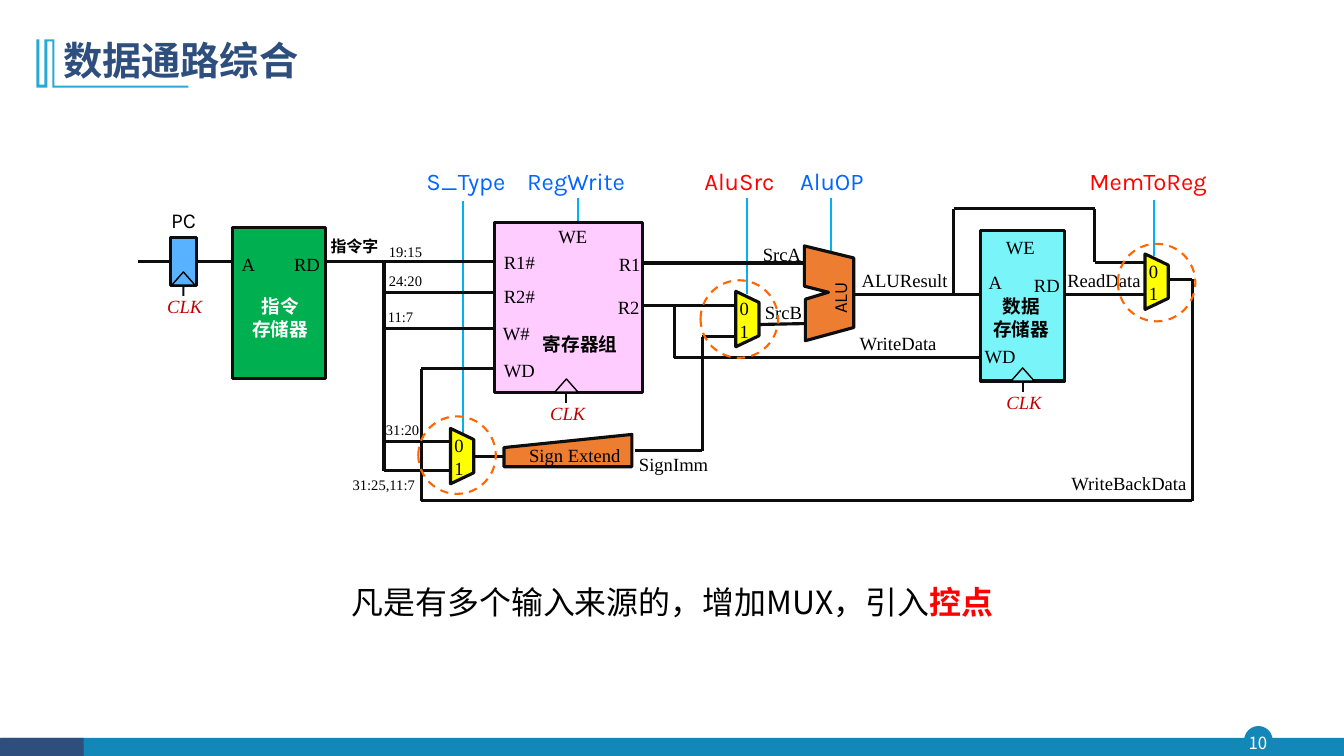
from lxml import etree
from pptx import Presentation
from pptx import util as u
from pptx.dml.color import RGBColor
from pptx.enum import dml, shapes, text
from pptx.oxml import ns

Pt = u.Pt
Kind = shapes.MSO_SHAPE
INK = RGBColor(0x0D, 0x0D, 0x0D)
BLACK = RGBColor(0, 0, 0)
WHITE = RGBColor(255, 255, 255)
NAVY = RGBColor(0x2E, 0x4E, 0x7E)
TEAL = RGBColor(0x13, 0x87, 0xB7)
CYAN = RGBColor(0x28, 0xA9, 0xD6)
SKY = RGBColor(0x00, 0xB0, 0xF0)
BLUE = RGBColor(0x00, 0x66, 0xFF)
RED = RGBColor(255, 0, 0)
WINE = RGBColor(0xC0, 0, 0)
FLAME = RGBColor(0xFF, 0x66, 0)
ORANGE = RGBColor(0xED, 0x7D, 0x31)
YELLOW = RGBColor(255, 255, 0)
GREEN = RGBColor(0, 0xB0, 0x50)
PINK = RGBColor(0xFF, 0xCC, 0xFF)
AQUA = RGBColor(0x79, 0xF5, 0xF9)
AZURE = RGBColor(0x59, 0xB2, 0xFF)

SERIF, SANS, HAN = "Times New Roman", "Karla", "Noto Sans CJK SC"
HEAVY, LIGHT = 2.25, 1.5
MID = text.PP_ALIGN.CENTER


class Board:
    """Draws on one slide; all lengths are points."""

    def __init__(self, slide):
        self.items = slide.shapes

    def paint(self, shape, fill, line, width):
        shape.shadow.inherit = False
        if fill is None:
            shape.fill.background()
        else:
            shape.fill.solid()
            shape.fill.fore_color.rgb = fill
        if line is None:
            shape.line.fill.background()
        else:
            shape.line.color.rgb = line
            shape.line.width = Pt(width)
        return shape

    def shape(self, kind, x, y, w, h, fill=None, line=None, width=HEAVY):
        item = self.items.add_shape(kind, Pt(x), Pt(y), Pt(w), Pt(h))
        return self.paint(item, fill, line, width)

    def free(self, points, fill, line=None):
        (x, y), *rest = [(Pt(a), Pt(b)) for a, b in points]
        pen = self.items.build_freeform(x, y)
        pen.add_line_segments(rest, close=True)
        return self.paint(pen.convert_to_shape(), fill, line, HEAVY)

    def wire(self, *points, color=INK, width=HEAVY):
        """Straight lines through the points; returns the last one."""
        for (a, b), (c, d) in zip(points, points[1:]):
            line = self.items.add_connector(
                shapes.MSO_CONNECTOR.STRAIGHT, Pt(a), Pt(b), Pt(c), Pt(d))
            line.line.color.rgb = color
            line.line.width = Pt(width)
            etree.SubElement(line._element.spPr, ns.qn("a:effectLst"))
        return line

    def label(self, words, x, y, w, h=None, size=13.3, font=SERIF, color=BLACK,
              bold=False, slant=False, align=None, wrap=False, turn=0,
              middle=False, inset=None, space=None):
        """Each line of words is a paragraph; a line may be a list of (text, format)."""
        lines = words.split("\n") if isinstance(words, str) else words
        h = h or len(lines) * size * 1.2 + 7.2
        box = self.items.add_textbox(Pt(x), Pt(y), Pt(w), Pt(h))
        box.rotation = turn
        frame = box.text_frame
        frame.word_wrap = wrap
        if middle:
            frame.vertical_anchor = text.MSO_ANCHOR.MIDDLE
        if inset is not None:
            frame.margin_left = frame.margin_right = Pt(inset)
            frame.margin_top = frame.margin_bottom = Pt(inset)
        for i, line in enumerate(lines):
            para = frame.add_paragraph() if i else frame.paragraphs[0]
            para.alignment = align
            para.line_spacing = space
            for part, style in [(line, {})] if isinstance(line, str) else line:
                run = para.add_run()
                run.text = part
                run.font.name = font
                run.font.size = Pt(size)
                run.font.bold = style.get("bold", bold)
                run.font.italic = slant
                run.font.color.rgb = style.get("color", color)
                east = etree.SubElement(run._r.get_or_add_rPr(), ns.qn("a:ea"))
                east.set("typeface", font)

    def clock(self, block, x, base, fill, join=True):
        self.shape(Kind.ISOSCELES_TRIANGLE, x - 8.3, base - 9.4, 16.6, 9.4, fill, BLACK, 1)
        tick = self.wire((x, base), (x, base + 7.6), width=LIGHT)
        if join:
            tick.begin_connect(block, 2)
        self.label("CLK", x - 18.7, base + 3.6, 39.6, color=WINE, slant=True)

    def mux(self, x, y, left, top):
        """Multiplexer centred on x, y, with its dashed ring at left, top."""
        body = self.shape(Kind.FLOWCHART_MANUAL_OPERATION,
                          x - 19.8, y - 8.3, 39.6, 16.6, YELLOW, INK)
        body.rotation = 270
        self.label("0\n1", x - 12.6, y - 19.1, 20.9)
        ring = self.shape(Kind.OVAL, left, top, 55.4, 55.4, None, FLAME, LIGHT)
        ring.line.dash_style = dml.MSO_LINE.DASH


def main():
    deck = Presentation()
    deck.slide_width, deck.slide_height = Pt(960), Pt(540)
    b = Board(deck.slides.add_slide(deck.slide_layouts[6]))

    # Footer and page number
    b.shape(Kind.OVAL, 889.2, 519.1, 19.4, 19.4, TEAL, TEAL, 1)
    b.shape(Kind.RECTANGLE, 0.7, 527, 959.3, 13, TEAL)
    b.shape(Kind.RECTANGLE, 0, 527, 59.8, 13, NAVY)
    b.label("10", 887, 519.1, 23, 22.3, size=12, font=HAN, color=WHITE,
            align=MID, middle=True, inset=0)

    # Title and its ornament
    b.free([(38.9, 28.1), (38.9, 61.2), (134.6, 61.2), (134.6, 62.6), (37.4, 62.6),
            (37.4, 29.5), (33.8, 29.5), (33.8, 62.6), (25.9, 62.6), (25.9, 28.1),
            (28.1, 28.1), (28.1, 60.5), (31.7, 60.5), (31.7, 28.1)], CYAN)
    b.label("数据通路综合", 38.2, 20.2, 828, 49, size=28, font=HAN, color=NAVY,
            bold=True, wrap=True, middle=True, space=0.9)

    # Control signals: name, text left, width, colour, line x, top, bottom
    for name, x, w, color, mid, top, base in [
            ("S_Type", 297.4, 73.4, BLUE, 330.5, 143.3, 313.2),
            ("RegWrite", 369.4, 95, BLUE, 412.6, 141.1, 169.9),
            ("AluSrc", 496.1, 69.1, RED, 533.5, 141.1, 210.2),
            ("AluOP", 564.5, 67.7, BLUE, 593.3, 141.1, 179.3),
            ("MemToReg", 771.1, 112.3, RED, 824.4, 142.6, 182.9)]:
        b.wire((mid, top), (mid, base), color=SKY, width=LIGHT)
        b.label(name, x, 115.2, w, size=17.1, font=SANS, color=color)

    # Instruction bus and its branches
    b.wire((233.3, 186.5), (353.5, 186.5))
    b.wire((274.3, 186.5), (274.3, 336.2), (326.9, 336.2))
    for y, end in [(208.8, 353.5), (234.7, 353.5), (315.4, 326.2)]:
        b.wire((274.3, y), (end, y))

    # Data wires
    b.wire((335.5, 326.2), (365.8, 326.2))
    b.wire((458.6, 187.9), (574.6, 187.9))
    b.wire((452.9, 218.2), (525.6, 218.2))
    b.wire((481.7, 218.2), (481.7, 255.6), (699.1, 255.6))
    b.wire((453.6, 321.8), (501.8, 321.8), (501.8, 240.5), (524.9, 240.5))
    b.wire((542.2, 231.8), (576.7, 231.1))
    b.wire((609.8, 210.2), (701.3, 210.2))
    b.wire((681.1, 210.2), (681.1, 149), (781.9, 149), (781.9, 187.2), (817.9, 187.2))
    b.wire((759.6, 210.2), (817.9, 210.2))
    b.wire((835.2, 199.4), (851.8, 199.4), (851.8, 357.8), (301, 357.8),
           (301, 263.5), (352.1, 263.5))

    # Blocks
    pc = b.shape(Kind.RECTANGLE, 121.7, 169.9, 18.7, 33.8, AZURE, INK)
    b.shape(Kind.RECTANGLE, 166.3, 162.7, 66.2, 108, GREEN, INK)
    regs = b.shape(Kind.RECTANGLE, 353.5, 159.1, 105.8, 121, PINK, INK)
    data = b.shape(Kind.RECTANGLE, 700.6, 164.9, 59.8, 107.3, AQUA, INK)
    b.free([(360, 319.7), (451.4, 310.3), (451.4, 333.4), (360, 333.4)], ORANGE, INK)
    b.free([(574.6, 175.7), (574.6, 204.5), (591.8, 208.8), (575.3, 213.8),
            (575.3, 243.4), (609.8, 234), (609.8, 184.3)], ORANGE, INK)
    b.wire((98.6, 186.8), (121.7, 186.8)).end_connect(pc, 1)
    b.wire((140.4, 186.8), (166.3, 186.8)).begin_connect(pc, 3)
    b.clock(pc, 131, 203.7, AZURE)
    b.clock(regs, 404.6, 280.1, PINK, join=False)
    b.clock(data, 730.5, 272.2, AQUA)

    # Block names
    b.label("PC", 115.2, 144.7, 34.6, size=15.2, font=SANS)
    b.label("ALU", 578.9, 198.7, 41.8, font=SANS, turn=270)
    for name, x, y, w, color in [("指令\n存储器", 172.8, 207.4, 54.7, WHITE),
                                 ("数据\n存储器", 702, 207.4, 54.7, BLACK),
                                 ("寄存器组", 380.2, 234, 68.4, BLACK)]:
        b.label(name, x, y, w, font=HAN, color=color, bold=True, align=MID)

    # Ports and signals
    for name, x, y, w in [
            ("A", 165.6, 177.1, 24.5), ("RD", 203, 177.1, 33.1),
            ("R1#", 352.8, 175.7, 36.7), ("R2#", 352.8, 200.2, 36.7),
            ("W#", 352.1, 226.1, 33.8), ("WD", 352.8, 252.7, 36.7),
            ("WE", 391.7, 157, 35.3), ("R1", 434.9, 177.1, 30.2),
            ("R2", 434.2, 208.1, 30.2), ("WE", 711.4, 164.9, 35.3),
            ("RD", 731.5, 192.2, 33.1), ("A", 699.1, 190.1, 24.5),
            ("WD", 696.2, 242.6, 36.7), ("Sign Extend", 370.8, 313.2, 80.6),
            ("SignImm", 449.3, 319.7, 64.1), ("SrcA", 537.8, 169.9, 41.8),
            ("SrcB", 539.3, 211.7, 41), ("ALUResult", 608.4, 188.6, 76.3),
            ("WriteData", 607, 233.3, 69.8), ("ReadData", 755.3, 188.6, 67),
            ("WriteBackData", 758.2, 333.4, 97.2)]:
        b.label(name, x, y, w)

    # Instruction fields
    b.label("指令字", 229, 165.6, 49, size=11.4, font=HAN, bold=True)
    for name, x, y, w in [("19:15", 270.7, 169.9, 38.9), ("24:20", 270.7, 190.8, 38.9),
                          ("11:7", 270, 216.7, 33.1), ("31:20", 268.6, 297.4, 38.9),
                          ("31:25,11:7", 244.8, 336.2, 59.8)]:
        b.label(name, x, y, w, size=10.4)

    # Multiplexers
    for spot in [(533.9, 227.9, 500.4, 200.2), (826.2, 201.2, 798.5, 174.2),
                 (330.1, 325.8, 298.8, 297.4)]:
        b.mux(*spot)

    # Conclusion
    b.label([[("凡是有多个输入来源的，增加MUX，引入", {}),
              ("控点", {"color": RED, "bold": True})]],
            244.1, 412.6, 482.4, size=22.8, font=HAN, wrap=True)

    deck.save("out.pptx")


if __name__ == "__main__":
    main()
